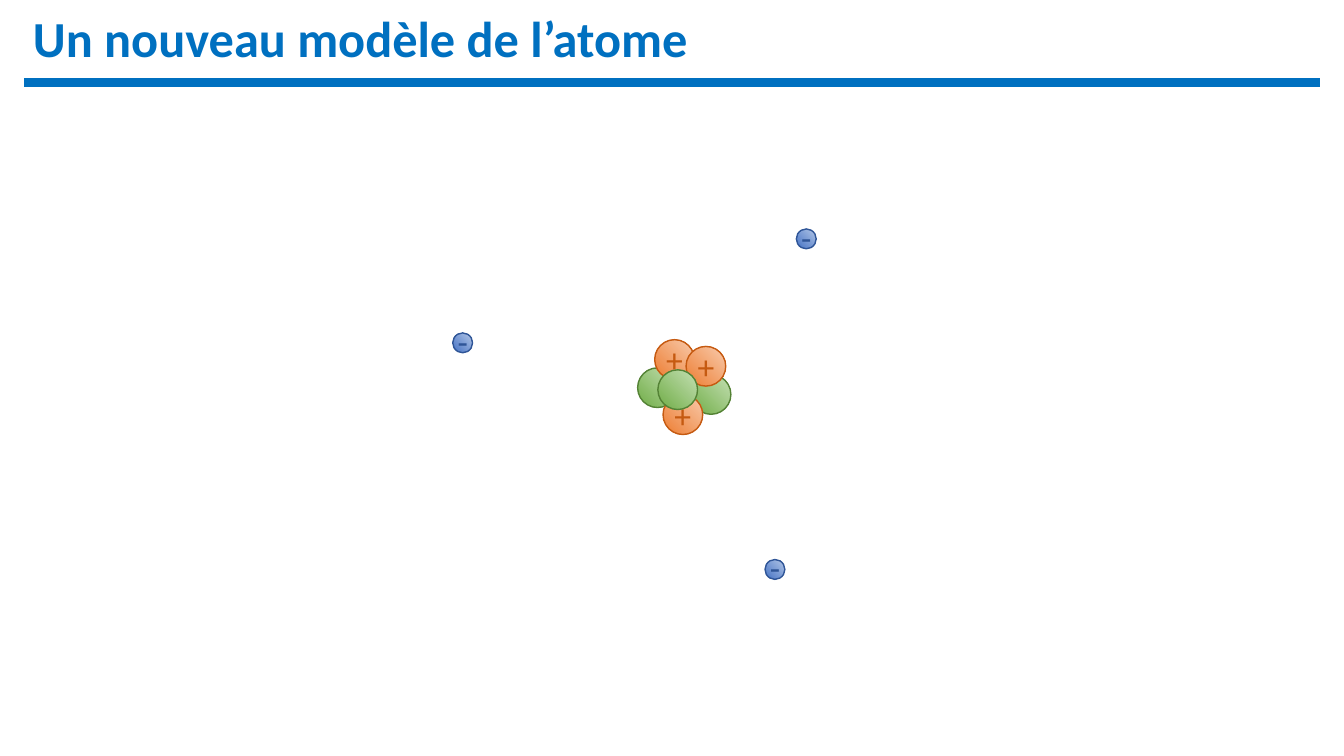
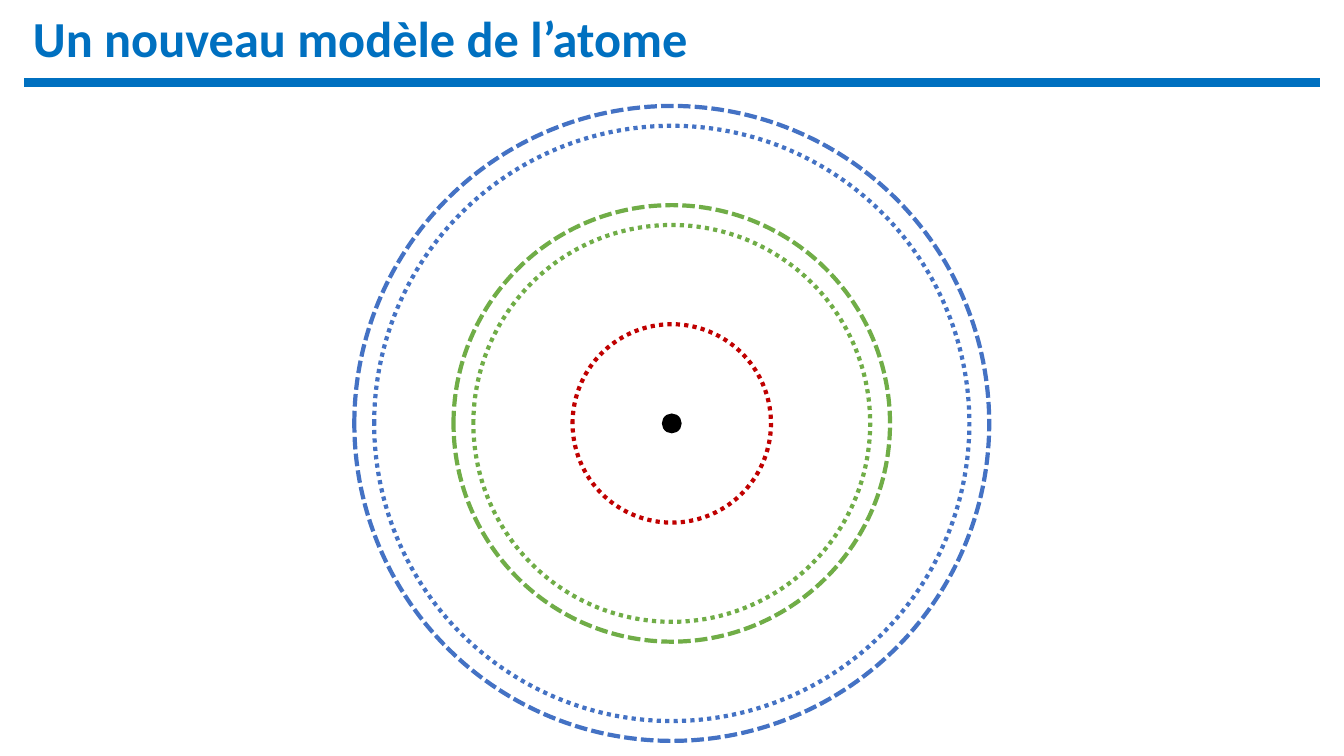
from typing import NamedTuple

from lxml import etree
from pptx import Presentation
from pptx.dml.color import RGBColor
from pptx.enum.dml import MSO_LINE_DASH_STYLE as Dash
from pptx.enum.shapes import MSO_CONNECTOR as Connector, MSO_SHAPE as Shape
from pptx.enum.text import MSO_ANCHOR as Anchor, PP_ALIGN as Align
from pptx.oxml.ns import qn
from pptx.util import Cm, Pt

TITLE_BLUE = RGBColor(0x00, 0x70, 0xC0)
BLACK = RGBColor(0x00, 0x00, 0x00)
RED = RGBColor(0xC0, 0x00, 0x00)
GREEN = RGBColor(0x70, 0xAD, 0x47)
LIGHT_GREEN = RGBColor(0xC5, 0xE0, 0xB4)
DARK_GREEN = RGBColor(0x54, 0x82, 0x35)
ORANGE = RGBColor(0xED, 0x7D, 0x31)
LIGHT_ORANGE = RGBColor(0xF8, 0xCB, 0xAD)
DARK_ORANGE = RGBColor(0xC5, 0x5A, 0x11)
BLUE = RGBColor(0x44, 0x72, 0xC4)
LIGHT_BLUE = RGBColor(0xB4, 0xC7, 0xE7)
DARK_BLUE = RGBColor(0x2F, 0x55, 0x97)

FONT = "Calibri"
TITLE = "Un nouveau modèle de l’atome"
SLIDE_WIDTH, SLIDE_HEIGHT = 33.87, 19.05
TITLE_HEIGHT = 2.08
ATOM_CENTER = (16.93, 10.67)


class Particle(NamedTuple):
    diameter: float
    light: RGBColor
    color: RGBColor
    dark: RGBColor
    sign: str = ""
    sign_shift: float = 0


NEUTRON = Particle(1, LIGHT_GREEN, GREEN, DARK_GREEN)
PROTON = Particle(1, LIGHT_ORANGE, ORANGE, DARK_ORANGE, "+")
ELECTRON = Particle(0.5, LIGHT_BLUE, BLUE, DARK_BLUE, "-", -0.05)

PARTICLES = [
    (NEUTRON, (16.57, 9.77)),
    (NEUTRON, (17.92, 9.94)),
    (PROTON, (17, 9.06)),
    (PROTON, (17.79, 9.23)),
    (PROTON, (17.21, 10.45)),
    (NEUTRON, (17.08, 9.82)),
    (ELECTRON, (19.53, 14.35)),
    (ELECTRON, (11.66, 8.64)),
    (ELECTRON, (20.32, 6.02)),
]

ORBITS = [
    (5, RED, Dash.ROUND_DOT),
    (10, GREEN, Dash.ROUND_DOT),
    (15, BLUE, Dash.ROUND_DOT),
    (16, BLUE, "sysDash"),
    (11, GREEN, "sysDash"),
]
DASHES = {Dash.ROUND_DOT: "sysDot", "sysDash": "sysDash"}


class Deck:
    def __init__(self):
        self.presentation = Presentation()
        self.presentation.slide_width = Cm(SLIDE_WIDTH)
        self.presentation.slide_height = Cm(SLIDE_HEIGHT)
        self.slide = None

    def add_slide(self, title):
        layout = self.presentation.slide_layouts.get_by_name("Title Only")
        self.slide = self.presentation.slides.add_slide(layout)
        placeholder = self.slide.shapes.title
        placeholder.left, placeholder.top = Cm(0), Cm(0)
        placeholder.width, placeholder.height = Cm(SLIDE_WIDTH), Cm(TITLE_HEIGHT)
        text_frame = placeholder.text_frame
        text_frame.text = title
        text_frame.margin_left = Cm(0.83)
        text_frame.vertical_anchor = Anchor.MIDDLE
        paragraph = text_frame.paragraphs[0]
        paragraph.alignment = Align.LEFT
        paragraph.line_spacing = 0.9
        self.format_run(paragraph.runs[0], 36, TITLE_BLUE, bold=True)
        self.add_rule()

    def add_rule(self):
        rule = self.slide.shapes.add_connector(
            Connector.STRAIGHT, Cm(0.61), Cm(TITLE_HEIGHT), Cm(33.27), Cm(TITLE_HEIGHT)
        )
        rule.line.color.rgb = TITLE_BLUE
        rule.line.width = Pt(6)
        etree.SubElement(rule.element.spPr, qn("a:effectLst"))

    def format_run(self, run, size, color, bold=False):
        run.font.name = FONT
        run.font.size = Pt(size)
        run.font.bold = bold
        run.font.color.rgb = color

    def add_circle(self, shapes, center, diameter):
        x, y = center
        circle = shapes.add_shape(
            Shape.OVAL,
            Cm(x - diameter / 2),
            Cm(y - diameter / 2),
            Cm(diameter),
            Cm(diameter),
        )
        circle.shadow.inherit = False
        return circle

    def add_nucleus(self, center, diameter):
        nucleus = self.add_circle(self.slide.shapes, center, diameter)
        nucleus.fill.solid()
        nucleus.fill.fore_color.rgb = BLACK
        nucleus.line.fill.background()

    def add_orbit(self, center, diameter, color, dash):
        orbit = self.add_circle(self.slide.shapes, center, diameter)
        orbit.fill.background()
        orbit.line.color.rgb = color
        orbit.line.width = Pt(3)
        orbit.line.dash_style = Dash.ROUND_DOT
        preset = orbit.element.spPr.find(".//" + qn("a:prstDash"))
        preset.set("val", DASHES[dash])

    def add_particle(self, particle, center):
        shapes = self.slide.shapes
        if particle.sign:
            shapes = shapes.add_group_shape().shapes
        ball = self.add_circle(shapes, center, particle.diameter)
        self.fill_radial(ball, particle.light, particle.color)
        ball.line.color.rgb = particle.dark
        ball.line.width = Pt(1)
        if particle.sign:
            x, y = center
            self.add_sign(shapes, (x, y + particle.sign_shift), particle)

    def fill_radial(self, shape, inner, outer):
        shape.fill.gradient()
        for stop, position, color in zip(
            shape.fill.gradient_stops, (0, 1), (inner, outer)
        ):
            stop.position = position
            stop.color.rgb = color
        gradient = shape.element.spPr.find(qn("a:gradFill"))
        gradient.remove(gradient.find(qn("a:lin")))
        radial = etree.SubElement(gradient, qn("a:path"), {"path": "circle"})
        etree.SubElement(radial, qn("a:fillToRect"), {"l": "100000", "b": "100000"})

    def add_sign(self, shapes, center, particle):
        x, y = center
        width, height = 0.94, 1.27
        box = shapes.add_textbox(
            Cm(x - width / 2), Cm(y - height / 2), Cm(width), Cm(height)
        )
        text_frame = box.text_frame
        text_frame.text = particle.sign
        text_frame.word_wrap = False
        text_frame.margin_left = text_frame.margin_right = Cm(0)
        paragraph = text_frame.paragraphs[0]
        paragraph.alignment = Align.CENTER
        self.format_run(paragraph.runs[0], 24, particle.dark)


def main():
    deck = Deck()

    deck.add_slide(TITLE)
    for particle, center in PARTICLES:
        deck.add_particle(particle, center)

    deck.add_slide(TITLE)
    deck.add_nucleus(ATOM_CENTER, 0.5)
    for diameter, color, dash in ORBITS:
        deck.add_orbit(ATOM_CENTER, diameter, color, dash)

    deck.presentation.save("out.pptx")


if __name__ == "__main__":
    main()
